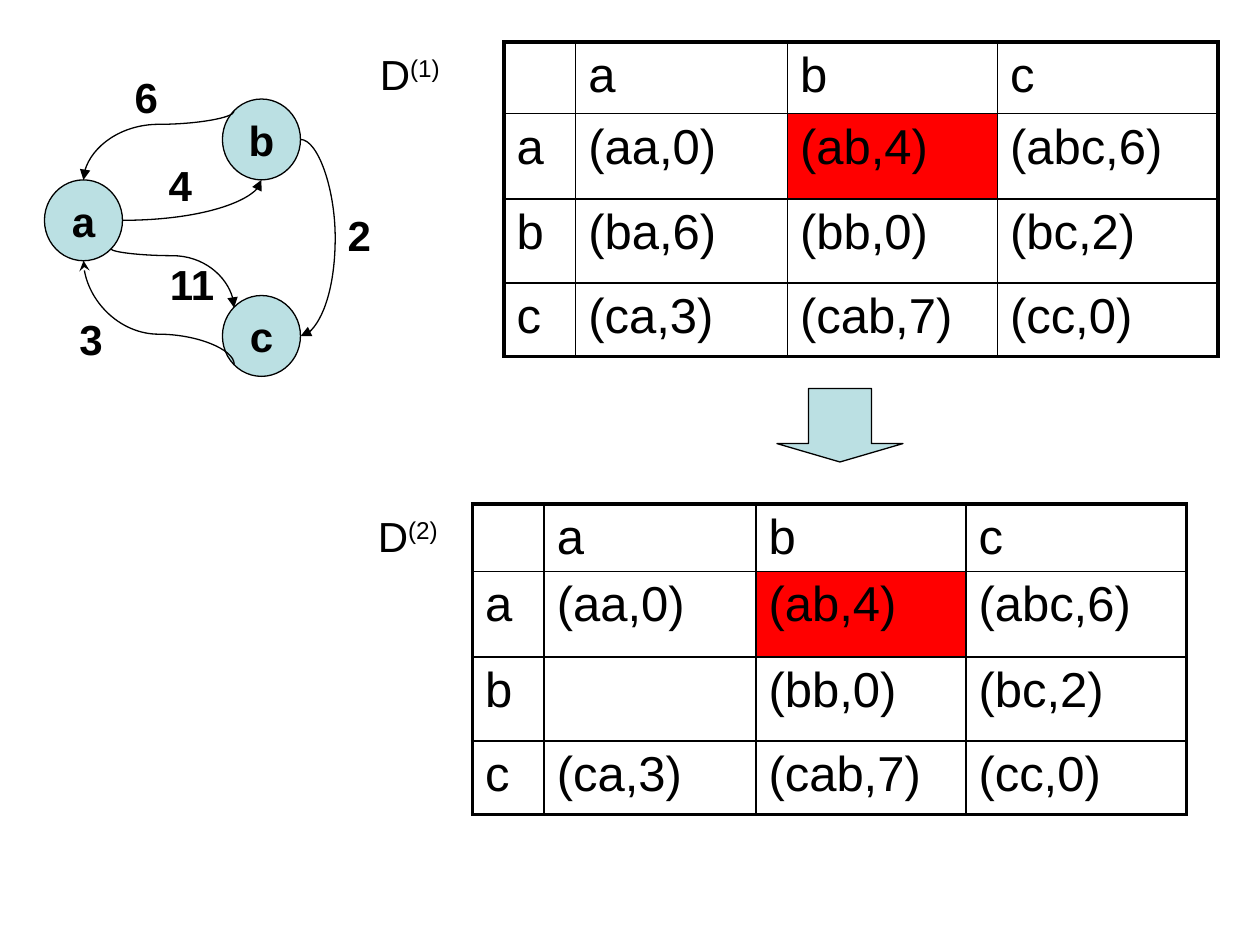
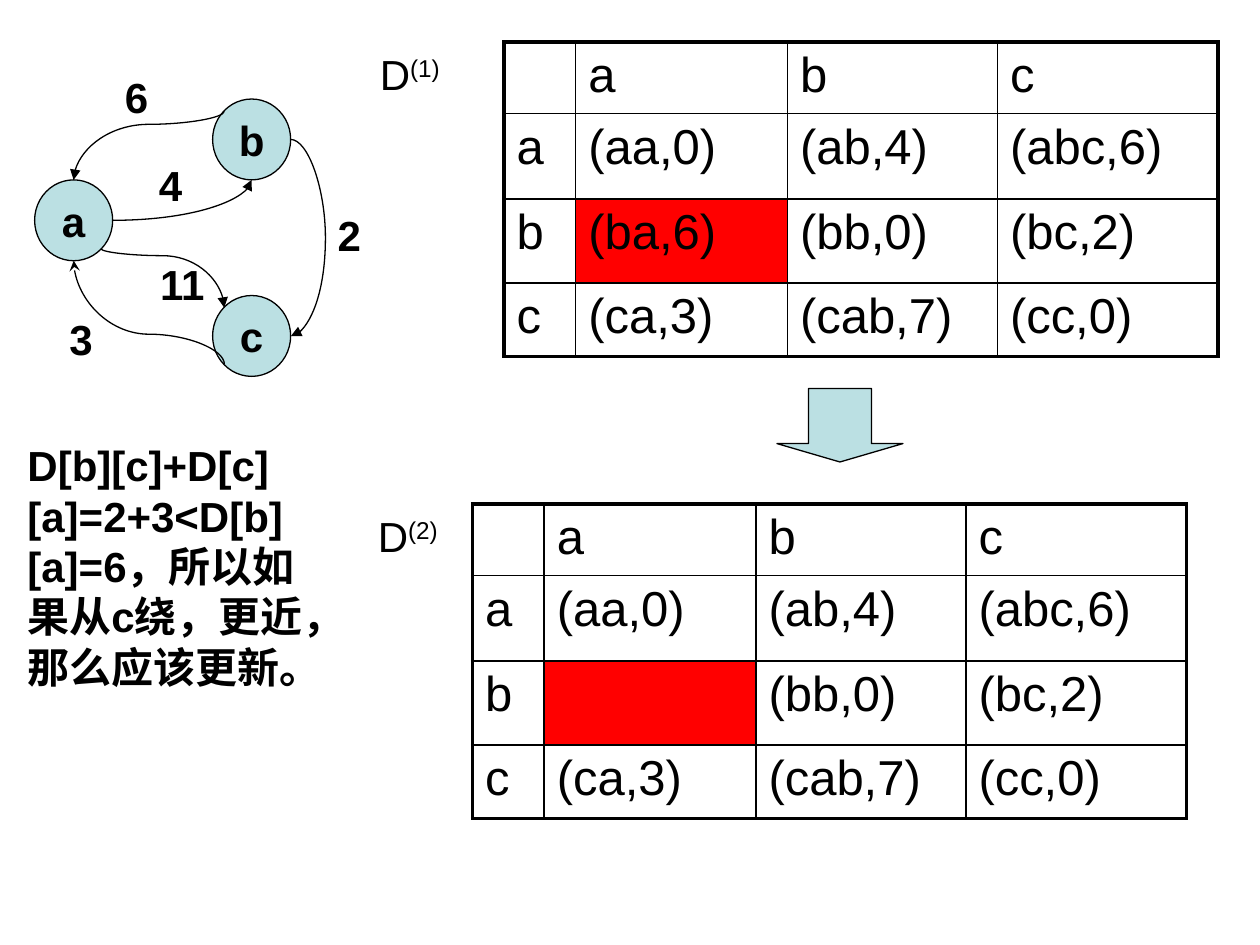
import dataclasses

import lxml.etree
import pptx
import pptx.dml.color
import pptx.enum.shapes
import pptx.enum.text
import pptx.oxml.ns
import pptx.util

Pt = pptx.util.Pt
qn = pptx.oxml.ns.qn
PRESET = pptx.enum.shapes.MSO_SHAPE


@dataclasses.dataclass(frozen=True)
class Theme:
    font: str = "Arial"
    ink: str = "000000"
    node: str = "BBE0E3"
    highlight: str = "FF0000"
    text_size: float = 24
    table_size: float = 28
    outline: float = 0.75
    inner_border: float = 1
    outer_border: float = 2.25


COLUMNS = (41, 121, 120, 126)
BODY_ROWS = (49, 48, 42)
NAMES = "abc"
DISTANCES = (
    ("(aa,0)", "(ab,4)", "(abc,6)"),
    ("(ba,6)", "(bb,0)", "(bc,2)"),
    ("(ca,3)", "(cab,7)", "(cc,0)"),
)
UPDATED = (2, 1)

NODE_SIZE = (44.6, 46.2)
NODES = {"a": (25.4, 102.8), "b": (127.1, 56.6), "c": (127.1, 168.9)}
NEAR, FAR = 0.15, 0.85
PORTS = {
    "top": (0.5, 0),
    "right": (1, 0.5),
    "bottom": (0.5, 1),
    "top left": (NEAR, NEAR),
    "bottom left": (NEAR, FAR),
    "bottom right": (FAR, FAR),
}
VERTICAL_EDGES = (
    ("b", "top left", "a", "top", 0.19, "tailEnd", "triangle"),
    ("a", "bottom right", "c", "top left", 0.12, "tailEnd", "triangle"),
    ("a", "bottom", "c", "bottom left", 0.71, "headEnd", "stealth"),
)
WEIGHTS = (
    ("11", 90, 144, 44),
    ("6", 69.8, 37.4, 38),
    ("4", 89.3, 87.8, 38),
    ("2", 191.5, 115.9, 38),
    ("3", 38.2, 175.7, 38),
)


def add_xml(parent, tag, **attributes):
    return lxml.etree.SubElement(parent, qn(tag), attributes)


class Painter:
    def __init__(self, deck, theme):
        self.deck = deck
        self.theme = theme
        self.page = None

    def new_page(self):
        self.page = self.deck.slides.add_slide(self.deck.slide_layouts[6])

    def color(self, value):
        return pptx.dml.color.RGBColor.from_string(value)

    def add_span(self, para, text, size, bold=False, raised=False):
        span = para.add_run()
        span.text = text
        span.font.name = self.theme.font
        span.font.size = Pt(size)
        span.font.bold = bold
        span.font.color.rgb = self.color(self.theme.ink)
        if raised:
            span.font._element.set("baseline", "30000")

    def space_before(self, para, percent):
        spacing = add_xml(para._p.get_or_add_pPr(), "a:spcBef")
        add_xml(spacing, "a:spcPct", val=str(percent * 1000))

    def text(self, shapes, place, text, bold=True, raised=""):
        box = shapes.add_textbox(*map(Pt, place))
        frame = box.text_frame
        frame.word_wrap = True
        frame.auto_size = pptx.enum.text.MSO_AUTO_SIZE.SHAPE_TO_FIT_TEXT
        para = frame.paragraphs[0]
        self.space_before(para, 50)
        self.add_span(para, text, self.theme.text_size, bold)
        if raised:
            self.add_span(para, raised, self.theme.text_size, bold, raised=True)

    def shape(self, shapes, preset, place):
        shape = shapes.add_shape(preset, *map(Pt, place))
        shape.shadow.inherit = False
        shape.fill.solid()
        shape.fill.fore_color.rgb = self.color(self.theme.node)
        shape.line.color.rgb = self.color(self.theme.ink)
        shape.line.width = Pt(self.theme.outline)
        return shape

    def node(self, shapes, name, place):
        frame = self.shape(shapes, PRESET.OVAL, place).text_frame
        frame.word_wrap = False
        frame.vertical_anchor = pptx.enum.text.MSO_ANCHOR.MIDDLE
        para = frame.paragraphs[0]
        para.alignment = pptx.enum.text.PP_ALIGN.CENTER
        self.add_span(para, name, self.theme.text_size, bold=True)

    def curve(self, shapes, start, end, end_tag="tailEnd", head="triangle",
              bend=None, vertical=False):
        edge = shapes.add_connector(pptx.enum.shapes.MSO_CONNECTOR.CURVE,
                                    *map(Pt, start + end))
        edge.line.color.rgb = self.color(self.theme.ink)
        edge.line.width = Pt(self.theme.outline)
        properties = edge.element.spPr
        add_xml(properties.find(qn("a:ln")), "a:" + end_tag, type=head)
        add_xml(properties, "a:effectLst")
        geometry = properties.find(qn("a:prstGeom"))
        if bend is None:
            geometry.set("prst", "curvedConnector2")
        else:
            guides = geometry.find(qn("a:avLst"))
            if guides is None:
                guides = add_xml(geometry, "a:avLst")
            add_xml(guides, "a:gd", name="adj1", fmla=f"val {round(bend * 100000)}")
        if vertical:
            self.turn(edge, start, end)

    def turn(self, edge, start, end):
        (x1, y1), (x2, y2) = start, end
        width, height = abs(y2 - y1), abs(x2 - x1)
        edge.left = Pt((x1 + x2 - width) / 2)
        edge.top = Pt((y1 + y2 - height) / 2)
        edge.width, edge.height = Pt(width), Pt(height)
        frame = edge.element.spPr.find(qn("a:xfrm"))
        frame.set("rot", str(270 * 60000))
        frame.set("flipH", "1")
        frame.set("flipV", str(int(x2 < x1)))

    def borders(self, cell, row, column, last_row, last_column):
        sides = {"L": column == 0, "R": column == last_column,
                 "T": row == 0, "B": row == last_row}
        properties = cell._tc.get_or_add_tcPr()
        for side, outer in sides.items():
            width = self.theme.outer_border if outer else self.theme.inner_border
            border = add_xml(properties, "a:ln" + side, w=str(int(Pt(width))))
            fill = add_xml(border, "a:solidFill")
            add_xml(fill, "a:srgbClr", val=self.theme.ink)

    def table(self, left, top, head_height, highlight, blank=None):
        heights = (head_height, *BODY_ROWS)
        rows = [("", *NAMES)] + [(name, *values) for name, values in zip(NAMES, DISTANCES)]
        table = self.page.shapes.add_table(
            len(rows), len(COLUMNS), Pt(left), Pt(top),
            Pt(sum(COLUMNS)), Pt(sum(heights))).table
        table.first_row = table.horz_banding = False
        for column, width in zip(table.columns, COLUMNS):
            column.width = Pt(width)
        for row, height in zip(table.rows, heights):
            row.height = Pt(height)
        for i, values in enumerate(rows):
            for j, value in enumerate(values):
                cell = table.cell(i, j)
                self.borders(cell, i, j, len(rows) - 1, len(COLUMNS) - 1)
                if (i, j) == highlight:
                    cell.fill.solid()
                    cell.fill.fore_color.rgb = self.color(self.theme.highlight)
                else:
                    cell.fill.background()
                para = cell.text_frame.paragraphs[0]
                self.space_before(para, 20)
                if value and (i, j) != blank:
                    self.add_span(para, value, self.theme.table_size)

    def graph(self, shift):
        shapes = self.page.shapes.add_group_shape().shapes
        for name, (left, top) in NODES.items():
            self.node(shapes, name, (left + shift, top, *NODE_SIZE))

        def port(name, side):
            return tuple(corner + size * part + move for corner, size, part, move
                         in zip(NODES[name], NODE_SIZE, PORTS[side], (shift, 0)))

        self.curve(shapes, port("a", "right"), port("b", "bottom"))
        for source, out, target, into, bend, end_tag, head in VERTICAL_EDGES:
            self.curve(shapes, port(source, out), port(target, into),
                       end_tag, head, bend, vertical=True)
        x, y = port("c", "right")
        self.curve(shapes, port("b", "right"), (x + 0.14, y), bend=140)
        for weight, left, top, width in WEIGHTS:
            self.text(shapes, (left + shift, top, width, 40), weight)

    def step(self, highlight, shift=0):
        self.new_page()
        shapes = self.page.shapes
        self.table(270, 288, 38.3, highlight, blank=UPDATED)
        self.text(shapes, (208.8, 288, 72, 36), "D", bold=False, raised="(2)")
        self.shape(shapes, PRESET.DOWN_ARROW, (444, 222, 72, 42)).adjustments[1] = 0.25
        self.table(288, 24, 40.6, highlight)
        self.text(shapes, (210, 24, 72, 36), "D", bold=False, raised="(1)")
        self.graph(shift)


def main():
    deck = pptx.Presentation()
    deck.slide_width, deck.slide_height = Pt(720), Pt(540)
    painter = Painter(deck, Theme())
    painter.step(highlight=(1, 2))
    painter.step(highlight=UPDATED, shift=-5.6)
    painter.text(painter.page.shapes, (8.6, 247.7, 188.6, 152.6),
                 "D[b][c]+D[c][a]=2+3<D[b][a]=6，所以如果从c绕，更近，那么应该更新。")
    deck.save("out.pptx")


if __name__ == "__main__":
    main()
